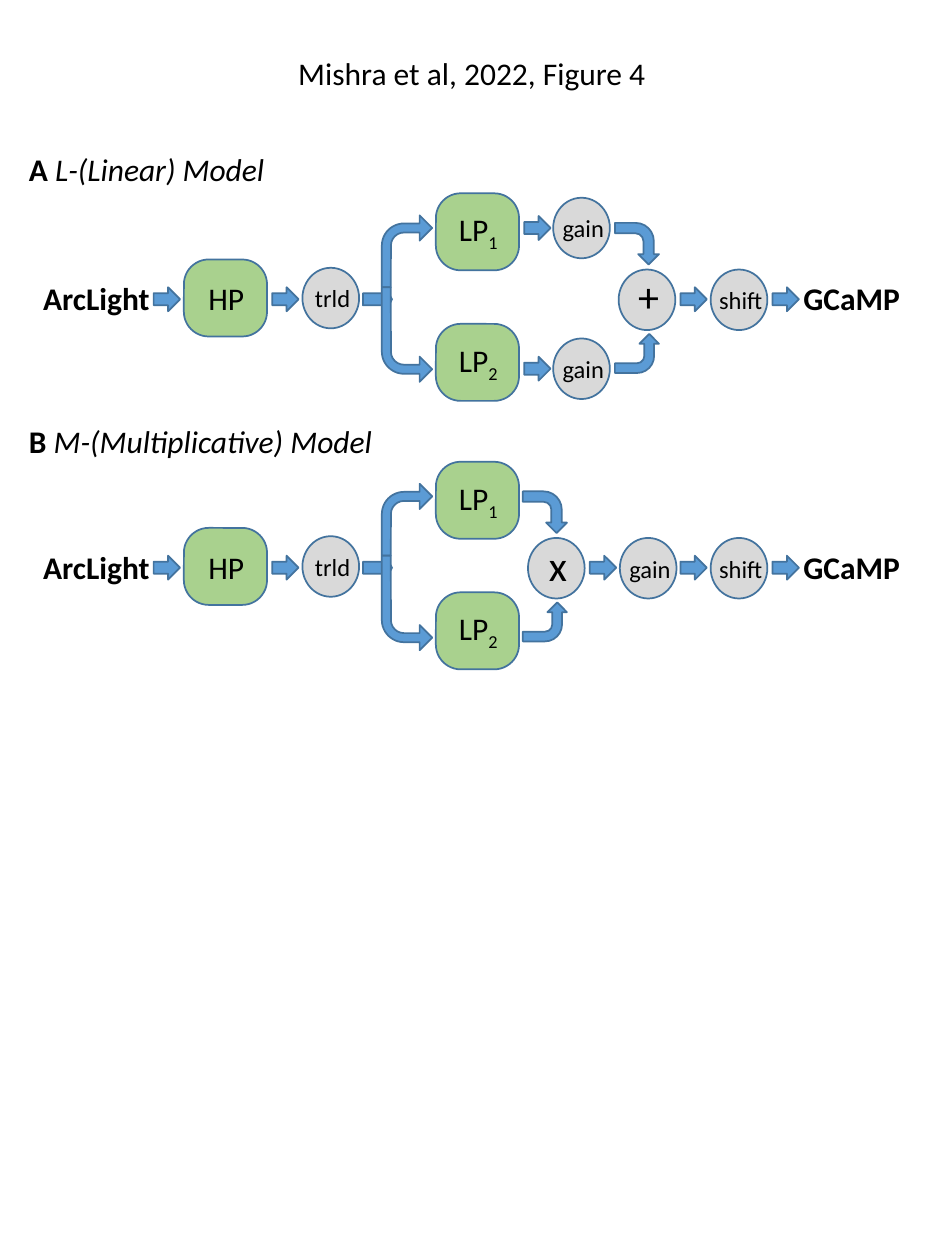
from pptx import Presentation
from pptx.dml.color import RGBColor
from pptx.enum.shapes import MSO_SHAPE
from pptx.enum.text import MSO_ANCHOR, MSO_AUTO_SIZE, PP_ALIGN
from pptx.util import Pt

ROUND, CIRCLE = MSO_SHAPE.ROUNDED_RECTANGLE, MSO_SHAPE.OVAL
ARROW, BENT = MSO_SHAPE.RIGHT_ARROW, MSO_SHAPE.BENT_ARROW
LEFT, CENTER = PP_ALIGN.LEFT, PP_ALIGN.CENTER
MIDDLE, NO_FIT = MSO_ANCHOR.MIDDLE, MSO_AUTO_SIZE.NONE

THEME = {
    "font": "Calibri", "text": RGBColor(0, 0, 0),
    "filter": RGBColor(0xA9, 0xD1, 0x8E), "node": RGBColor(0xD9, 0xD9, 0xD9),
    "arrow": RGBColor(0x5B, 0x9B, 0xD5), "outline": RGBColor(0x43, 0x73, 0x9E),
    "body": 18, "small": 14, "symbol": 24,
}

deck = Presentation()
deck.slide_width, deck.slide_height = Pt(540), Pt(720)
page = deck.slides.add_slide(deck.slide_layouts[5])


def write(box, spans, size, align=CENTER):
    frame = box.text_frame
    for name, value in {"word_wrap": False, "auto_size": NO_FIT,
                        "vertical_anchor": MIDDLE}.items():
        setattr(frame, name, value)
    para = frame.paragraphs[0]
    para.alignment = align
    for text, style in spans:
        span = para.add_run()
        span.text = text
        span.font.color.rgb = THEME["text"]
        for name, value in {"name": THEME["font"], "size": Pt(size),
                            "bold": False, **style}.items():
            if name == "baseline":
                span.font._element.set(name, value)
            else:
                setattr(span.font, name, value)


def draw(kind, left, top, width, height, color, adjust=(), rotation=0, flips=()):
    shape = page.shapes.add_shape(kind, Pt(left), Pt(top), Pt(width), Pt(height))
    shape.shadow.inherit = False
    shape.fill.solid()
    shape.fill.fore_color.rgb = THEME[color]
    shape.line.color.rgb = THEME["outline"]
    shape.line.width = Pt(1)
    shape.rotation = rotation
    for index, value in enumerate(adjust):
        shape.adjustments[index] = value
    for flip in flips:
        shape._element.spPr.xfrm.set(flip, "1")


title = page.shapes.title
title.left, title.top, title.width, title.height = Pt(162), Pt(27.4), Pt(215.3), Pt(28.8)
write(title, [("Mishra et al, 2022, Figure 4", {})], THEME["body"])

BOLD, ITALIC, SUBSCRIPT = {"bold": True}, {"italic": True}, {"baseline": "-25000"}
UPPER, LOWER = -40, 40.4
models = [
    {"axis": 170.3, "heading": ("A ", "L-(Linear) Model"), "heading_top": 82.1,
     "heading_width": 150.5, "merge": 352.5,
     "nodes": [("+", 353.5, 1, -2.5), ("gain", 316.1, UPPER, 0), ("gain", 316.1, LOWER, 0)],
     "arrows": [(299.5, UPPER), (299.5, LOWER)]},
    {"axis": 323.7, "heading": ("B ", "M-(Multiplicative) Model"), "heading_top": 237.6,
     "heading_width": 213.1, "merge": 299.9,
     "nodes": [("x", 301.7, 1, -2.2), ("gain", 354.2, 1, 0)],
     "arrows": [(337, 0.7)]},
]

for model in models:
    axis, merge = model["axis"], model["merge"]
    labels = []

    for name, digit, left, offset in [("HP", "", 105.1, 0), ("LP", "1", 249.1, -37.8),
                                      ("LP", "2", 249.1, 36.8)]:
        draw(ROUND, left, axis + offset - 22, 47.5, 44, "filter", [0.322])
        spans = [(name, {})] + ([(digit, SUBSCRIPT)] if digit else [])
        labels.append((spans, left + 24.2, axis + offset, 37, 28.8, THEME["body"]))

    for name, left, offset, lift in model["nodes"] + [("trld", 172.8, 0, 0), ("shift", 406.1, 1, 0)]:
        draw(CIRCLE, left, axis + offset - 17.3, 32.4, 34.6, "node")
        size, width, height = ((THEME["symbol"], 26, 36) if len(name) == 1
                               else (THEME["small"], 38, 24.5))
        labels.append(([(name, {})], left + 17.2, axis + offset + lift, width, height, size))

    for left, offset in model["arrows"] + [(x, 0.7) for x in (87.8, 155.5, 388.8, 441.4)]:
        draw(ARROW, left, axis + offset - 6.85, 15.1, 13.7, "arrow")

    draw(ARROW, 207.4, axis - 6.1, 16.6, 13.7, "arrow", [0.5, 0.27])
    draw(BENT, 218.2, axis - 47.2, 28.8, 41, "arrow", [0.18, 0.25, 0.25, 0.44])
    draw(BENT, 218.2, axis - 6.1, 28.8, 54, "arrow", [0.18, 0.25, 0.25, 0.44], 0, ["flipV"])
    draw(BENT, merge - 0.4, axis - 43.6, 23.8, 25.2, "arrow", (), 270, ["flipH", "flipV"])
    draw(BENT, merge + 0.3, axis + 19.1, 22.3, 25.2, "arrow", (), 270, ["flipV"])

    labels.append(([("ArcLight", BOLD)], 55.1, axis, 75.6, 28.8, THEME["body"]))
    labels.append(([("GCaMP", BOLD)], 486.7, axis, 70.6, 28.8, THEME["body"]))
    for spans, center, middle, width, height, size in labels:
        box = page.shapes.add_textbox(Pt(center - width / 2), Pt(middle - height / 2),
                                      Pt(width), Pt(height))
        write(box, spans, size)

    letter, name = model["heading"]
    heading = page.shapes.add_textbox(Pt(9.4), Pt(model["heading_top"]),
                                      Pt(model["heading_width"]), Pt(28.8))
    write(heading, [(letter, BOLD), (name, ITALIC)], THEME["body"], LEFT)

deck.save("out.pptx")
